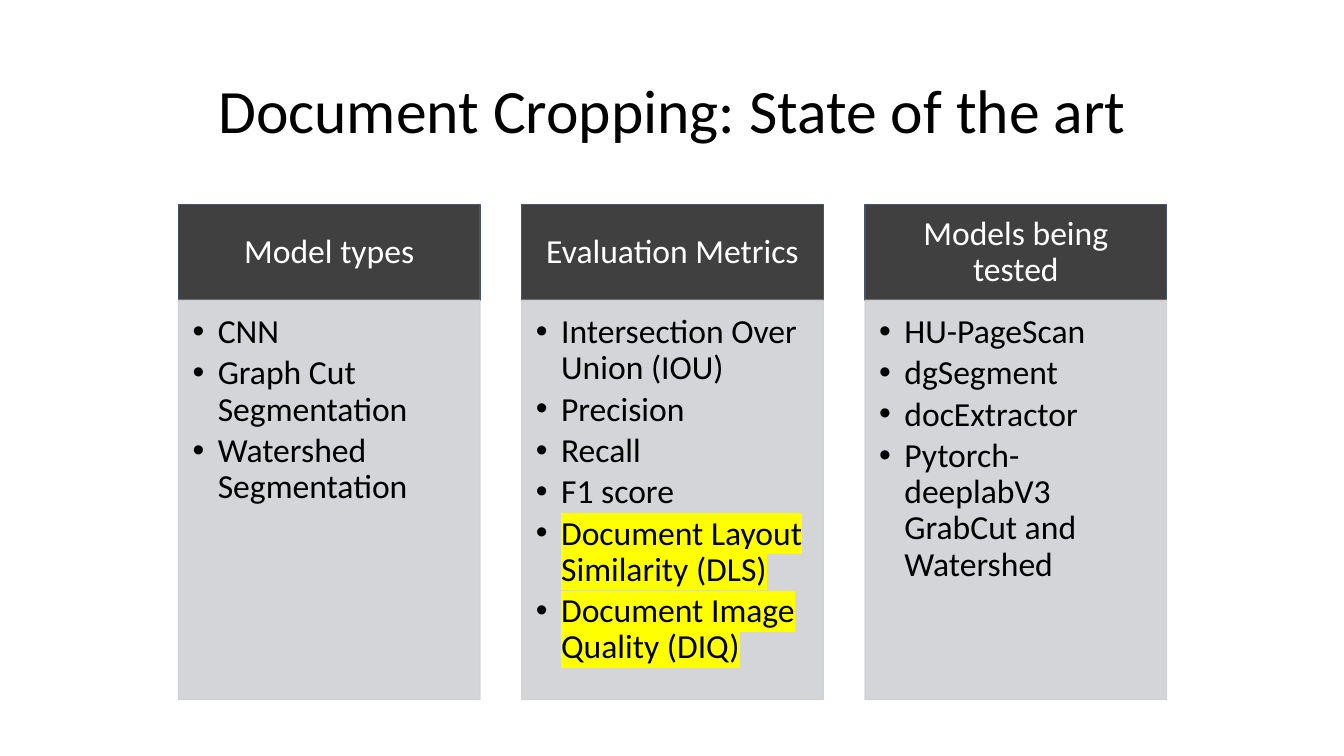
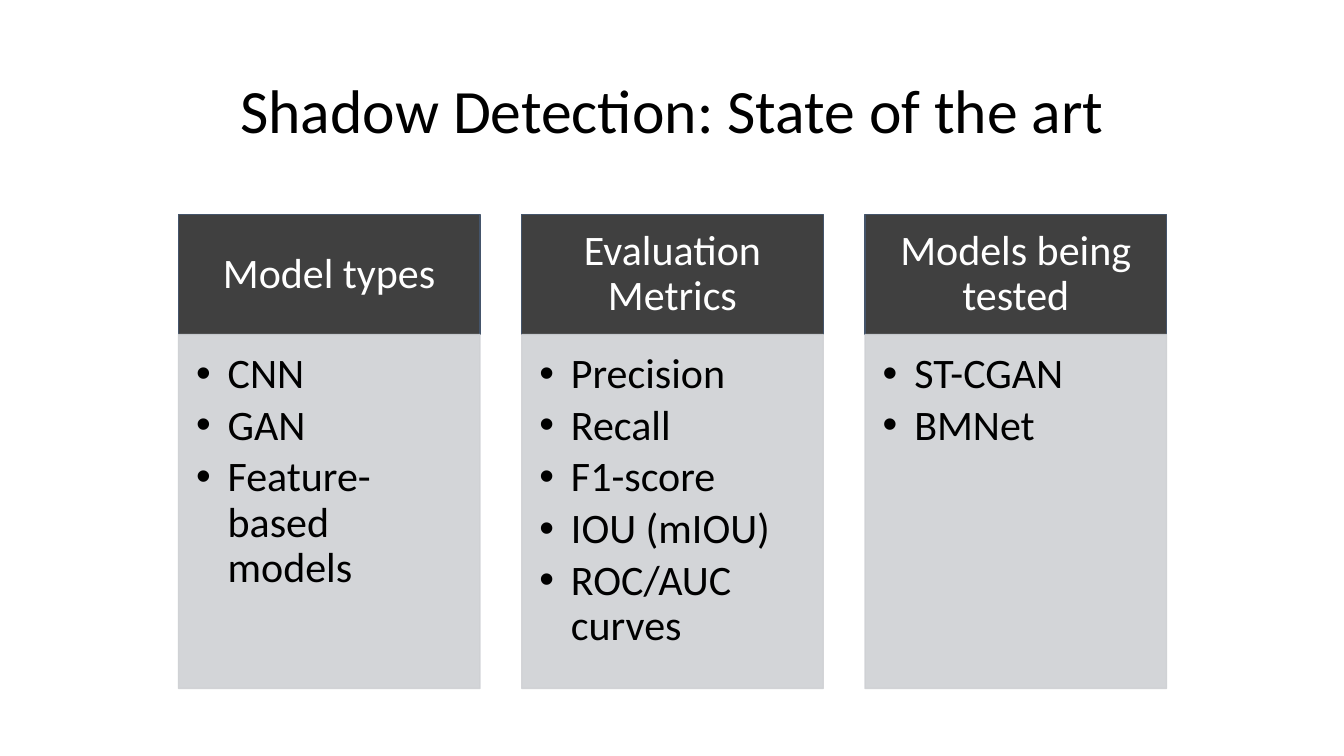
from lxml import etree
from pptx import Presentation
from pptx.dml.color import RGBColor
from pptx.enum.shapes import MSO_SHAPE
from pptx.enum.text import MSO_ANCHOR, PP_ALIGN
from pptx.oxml.ns import qn
from pptx.util import Inches, Pt

RECTANGLE = MSO_SHAPE.RECTANGLE
TOP, MIDDLE = MSO_ANCHOR.TOP, MSO_ANCHOR.MIDDLE
LEFT, CENTER = PP_ALIGN.LEFT, PP_ALIGN.CENTER

COLORS = {
    "text": "000000",
    "header": "404040",
    "header_line": "44546A",
    "header_text": "FFFFFF",
    "panel": "CFD1D4",
    "highlight": "FFFF00",
}
FONT = "Calibri"
COLUMNS_LEFT, COLUMNS_SPAN, COLUMN_WIDTH = 1.77, 9.8, 2.99
PANEL_OPACITY = 90


def color(name):
    return RGBColor.from_string(COLORS[name])


def set_opacity(fill_format_parent, percent):
    for srgb in fill_format_parent.iter(qn("a:srgbClr")):
        etree.SubElement(srgb, qn("a:alpha"), val=str(percent * 1000))


class Deck:
    def __init__(self):
        self.presentation = Presentation()
        self.presentation.slide_width = Inches(13.33)
        self.presentation.slide_height = Inches(7.5)
        self.slide = None

    def add_slide(self, title):
        blank = self.presentation.slide_layouts[6]
        self.slide = self.presentation.slides.add_slide(blank)
        heading = self.slide.shapes.add_textbox(
            Inches(0.92), Inches(0.4), Inches(11.5), Inches(1.45))
        frame = heading.text_frame
        frame.word_wrap = True
        frame.vertical_anchor = MIDDLE
        self.style(frame.paragraphs[0], title, 44, "text", CENTER)

    def style(self, paragraph, text, size, ink, align, after=0, bullet=False):
        paragraph.alignment = align
        paragraph.line_spacing = 0.9
        paragraph.space_after = Pt(size * after)
        if bullet:
            self.bullet(paragraph, size)
        paragraph.font.name = FONT
        paragraph.font.size = Pt(size)
        paragraph.font.color.rgb = color(ink)
        run = paragraph.add_run()
        run.text = text
        return run

    def bullet(self, paragraph, size):
        paragraph.level = 1
        properties = paragraph._p.get_or_add_pPr()
        hanging = Inches(size * 0.75 / 72)
        properties.set("marL", str(hanging))
        properties.set("indent", str(-hanging))
        etree.SubElement(properties, qn("a:buFont"), typeface="Arial")
        etree.SubElement(properties, qn("a:buChar"), char="•")

    def highlight(self, run):
        mark = etree.SubElement(run._r.get_or_add_rPr(), qn("a:highlight"))
        etree.SubElement(mark, qn("a:srgbClr"), val=COLORS["highlight"])

    def box(self, left, top, height, fill, line, size, insets, anchor):
        box = self.slide.shapes.add_shape(
            RECTANGLE, Inches(left), Inches(top),
            Inches(COLUMN_WIDTH), Inches(height))
        box.shadow.inherit = False
        box.fill.solid()
        box.fill.fore_color.rgb = color(fill)
        box.line.color.rgb = color(line)
        box.line.width = Pt(1)
        frame = box.text_frame
        frame.word_wrap = True
        frame.vertical_anchor = anchor
        (frame.margin_left, frame.margin_top,
         frame.margin_right, frame.margin_bottom) = (
            Inches(size * inset / 72) for inset in insets)
        return box

    def header(self, left, top, height, text, size):
        box = self.box(left, top, height, "header", "header_line", size,
                       (0.56, 0.32, 0.56, 0.32), MIDDLE)
        self.style(box.text_frame.paragraphs[0], text, size,
                   "header_text", CENTER, after=0.35)

    def panel(self, left, top, height, items, size, highlighted):
        box = self.box(left, top, height, "panel", "panel", size,
                       (0.42, 0.42, 0.56, 0.63), TOP)
        set_opacity(box._element.spPr, PANEL_OPACITY)
        frame = box.text_frame
        for index, item in enumerate(items):
            paragraph = frame.add_paragraph() if index else frame.paragraphs[0]
            run = self.style(paragraph, item, size, "text", LEFT,
                             after=0.15, bullet=True)
            if item in highlighted:
                self.highlight(run)

    def columns(self, topics, top, header_height, panel_height, size,
                highlighted=()):
        step = (COLUMNS_SPAN - COLUMN_WIDTH) / (len(topics) - 1)
        for index, (topic, items) in enumerate(topics.items()):
            left = COLUMNS_LEFT + index * step
            self.header(left, top, header_height, topic, size)
            self.panel(left, top + header_height, panel_height, items, size,
                       highlighted)


def main():
    deck = Deck()

    deck.add_slide("Document Cropping: State of the art")
    new_metrics = ["Document Layout Similarity (DLS)",
                   "Document Image Quality (DIQ)"]
    deck.columns({
        "Model types": ["CNN", "Graph Cut Segmentation",
                        "Watershed Segmentation"],
        "Evaluation Metrics": ["Intersection Over Union (IOU)", "Precision",
                               "Recall", "F1 score", *new_metrics],
        "Models being tested": ["HU-PageScan", "dgSegment", "docExtractor",
                                "Pytorch-deeplabV3 GrabCut and Watershed"],
    }, top=2.03, header_height=0.95, panel_height=3.96, size=24,
        highlighted=new_metrics)

    deck.add_slide("Shadow Detection: State of the art")
    deck.columns({
        "Model types": ["CNN", "GAN", "Feature-based models"],
        "Evaluation Metrics": ["Precision", "Recall", "F1-score",
                               "IOU (mIOU)", "ROC/AUC curves"],
        "Models being tested": ["ST-CGAN", "BMNet"],
    }, top=2.13, header_height=1.19, panel_height=3.51, size=30)

    deck.presentation.save("out.pptx")


if __name__ == "__main__":
    main()
